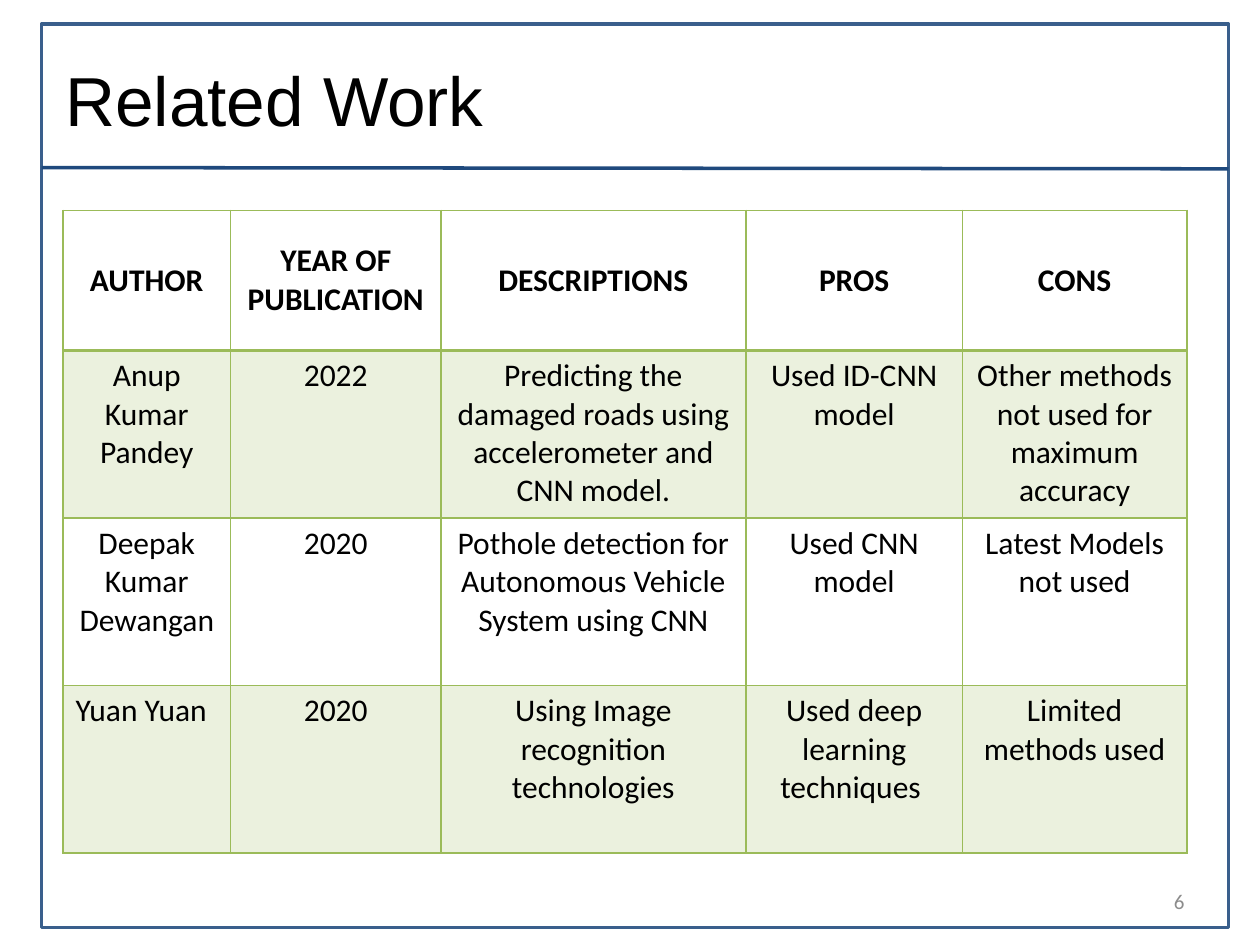
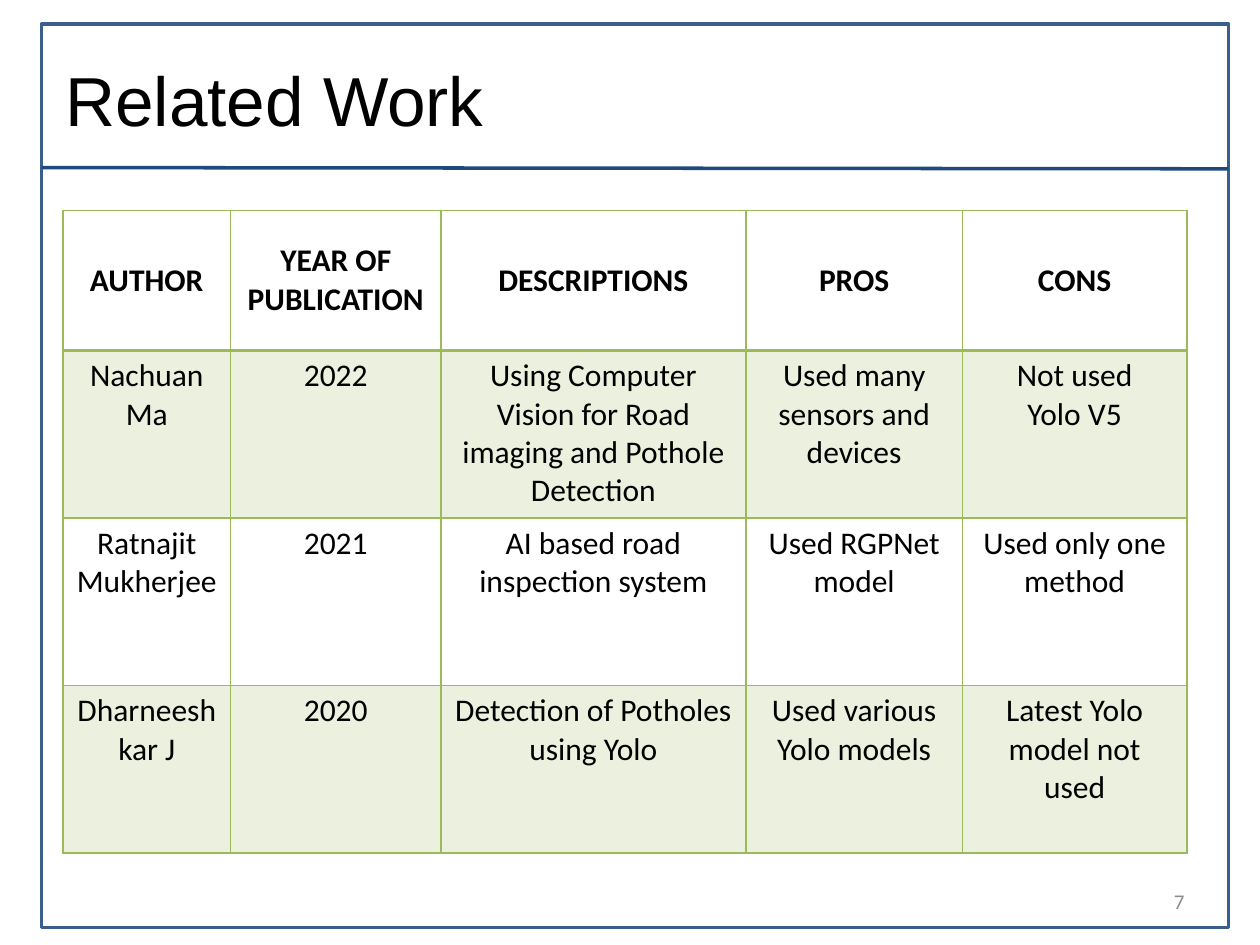
import pptx
import pptx.dml.color
import pptx.enum.shapes
import pptx.enum.text
import pptx.oxml
import pptx.oxml.ns
import pptx.util
from lxml import etree

Inches = pptx.util.Inches
Pt = pptx.util.Pt
RGBColor = pptx.dml.color.RGBColor
PP_ALIGN = pptx.enum.text.PP_ALIGN
MSO_ANCHOR = pptx.enum.text.MSO_ANCHOR

BLACK = RGBColor(0x00, 0x00, 0x00)
FRAME_BLUE = RGBColor(0x3A, 0x5F, 0x8C)
RULE_BLUE = RGBColor(0x1F, 0x49, 0x7D)
GREEN = RGBColor(0x9B, 0xBB, 0x59)
PALE_GREEN = RGBColor(0xEB, 0xF1, 0xDE)
GREY = RGBColor(0x8C, 0x8C, 0x8C)

FRAME_BOX = (0.33, 0.19, 9.42, 7.17)
TABLE_BOX = (0.5, 1.67, 8.92, 5.1)
COLUMN_WIDTHS = (1.33, 1.67, 2.42, 1.72, 1.78)
HEADER_HEIGHT, ROW_HEIGHT = 1.11, 1.33
HEADINGS = ("AUTHOR", "YEAR OF PUBLICATION", "DESCRIPTIONS", "PROS", "CONS")

# Slide number -> papers reviewed on that slide
PAPERS = {
    6: (
        ("Anup Kumar Pandey", "2022",
         "Predicting the damaged roads using accelerometer and CNN model.",
         "Used ID-CNN model", "Other methods not used for maximum accuracy"),
        ("Deepak Kumar Dewangan", "2020",
         "Pothole detection for Autonomous Vehicle System using CNN",
         "Used CNN model", "Latest Models not used"),
        ("Yuan Yuan", "2020", "Using Image recognition technologies",
         "Used deep learning techniques ", "Limited methods used"),
    ),
    7: (
        ("Nachuan Ma", "2022",
         "Using Computer Vision for Road imaging and Pothole Detection",
         "Used many sensors and devices", "Not used\nYolo V5"),
        ("Ratnajit Mukherjee", "2021", "AI based road inspection system",
         "Used RGPNet model", "Used only one method"),
        ("Dharneeshkar J", "2020", "Detection of Potholes using Yolo",
         "Used various Yolo models", "Latest Yolo model not used"),
    ),
}
LEFT_ALIGNED = {"Yuan Yuan"}


def style_text(frame, font_name, size, color, align, bold=False):
    for paragraph in frame.paragraphs:
        paragraph.alignment = align
        font = paragraph.font
        font.name, font.size, font.bold = font_name, Pt(size), bold
        font.color.rgb = color


def add_label(slide, box, text, font_name, size, color, align):
    frame = slide.shapes.add_textbox(*map(Inches, box)).text_frame
    frame.word_wrap = True
    frame.vertical_anchor = MSO_ANCHOR.MIDDLE
    frame.text = text
    style_text(frame, font_name, size, color, align)


def add_frame(slide, box, number):
    """Draw the border, title, rule under the title and slide number."""
    left, top, width, height = box
    border = slide.shapes.add_shape(
        pptx.enum.shapes.MSO_SHAPE.RECTANGLE, *map(Inches, box))
    border.shadow.inherit = False
    border.fill.background()
    border.line.color.rgb = FRAME_BLUE
    border.line.width = Pt(2)

    rule_y = top + 1.14
    rule = slide.shapes.add_connector(
        pptx.enum.shapes.MSO_CONNECTOR.STRAIGHT,
        *map(Inches, (left, rule_y, left + width, rule_y + 0.01)))
    rule.line.color.rgb = RULE_BLUE
    rule.line.width = Pt(2)
    etree.SubElement(rule._element.spPr, pptx.oxml.ns.qn("a:effectLst"))

    add_label(slide, (left + 0.09, top + 0.23, 9, 0.72), "Related Work",
              "Arial", 39.6, BLACK, PP_ALIGN.LEFT)
    add_label(slide, (left + width - 2.58, top + height - 0.41, 2.33, 0.4),
              str(number), "Calibri", 12, GREY, PP_ALIGN.RIGHT)


def set_borders(cell, **widths):
    """Draw green cell edges; widths in points by side: L, R, T, B."""
    properties = cell._tc.get_or_add_tcPr()
    for position, side in enumerate("LRTB"):
        properties.insert(position, pptx.oxml.parse_xml(
            f'<a:ln{side} {pptx.oxml.ns.nsdecls("a")} w="{Pt(widths.get(side, 1))}">'
            f'<a:solidFill><a:srgbClr val="{GREEN}"/></a:solidFill></a:ln{side}>'))


def add_papers_table(slide, box, papers):
    rows = (HEADINGS, *papers)
    table = slide.shapes.add_table(
        len(rows), len(HEADINGS), *map(Inches, box)).table
    table.first_row = table.horz_banding = False
    for column, width in zip(table.columns, COLUMN_WIDTHS):
        column.width = Inches(width)
    for r, texts in enumerate(rows):
        is_header = r == 0
        table.rows[r].height = Inches(HEADER_HEIGHT if is_header else ROW_HEIGHT)
        for c, text in enumerate(texts):
            cell = table.cell(r, c)
            cell.text = text
            align = PP_ALIGN.LEFT if text in LEFT_ALIGNED else PP_ALIGN.CENTER
            style_text(cell.text_frame, "Calibri", 18, BLACK, align, is_header)
            cell.vertical_anchor = MSO_ANCHOR.MIDDLE if is_header else MSO_ANCHOR.TOP
            if r % 2:
                cell.fill.solid()
                cell.fill.fore_color.rgb = PALE_GREEN
            else:
                cell.fill.background()
            set_borders(cell, T=2 if r == 1 else 1, B=2 if is_header else 1)


def main():
    deck = pptx.Presentation()
    deck.slide_width, deck.slide_height = Inches(10), Inches(7.5)
    for number, papers in PAPERS.items():
        slide = deck.slides.add_slide(deck.slide_layouts[6])
        add_frame(slide, FRAME_BOX, number)
        add_papers_table(slide, TABLE_BOX, papers)
    deck.save("out.pptx")


if __name__ == "__main__":
    main()
